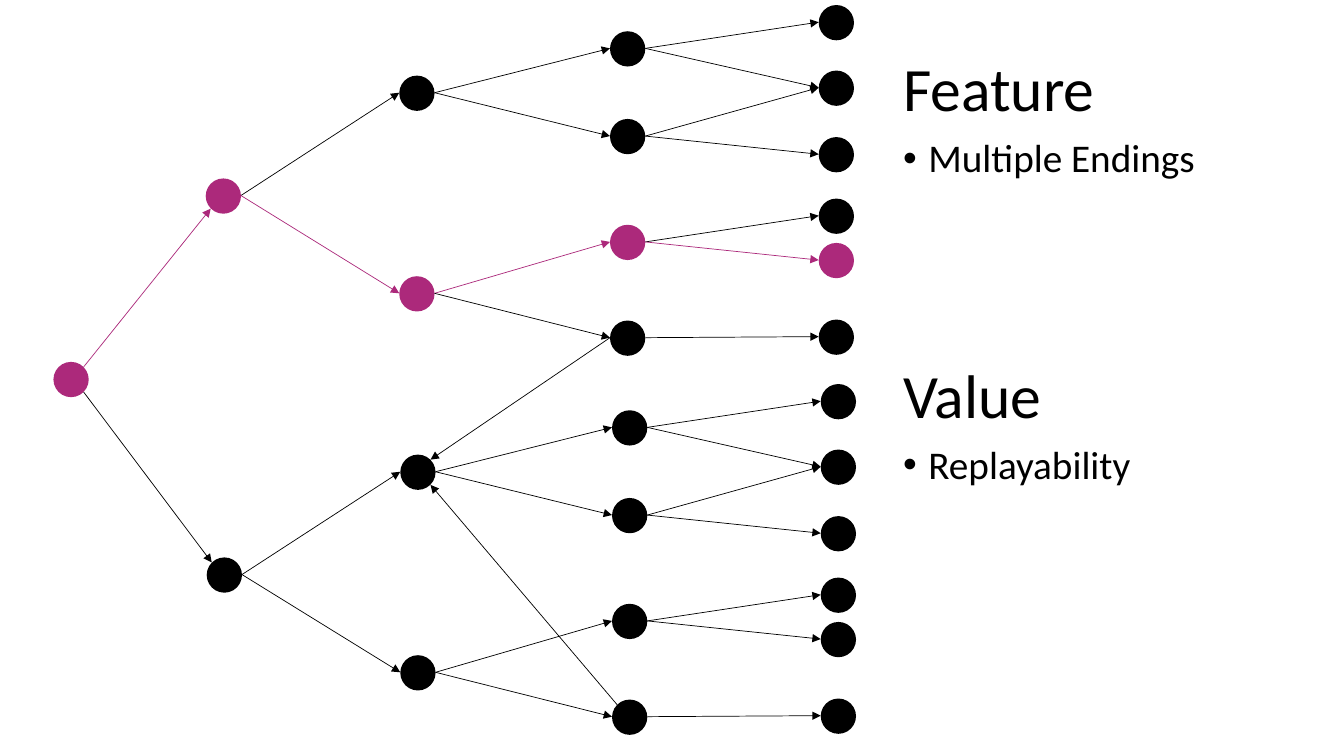
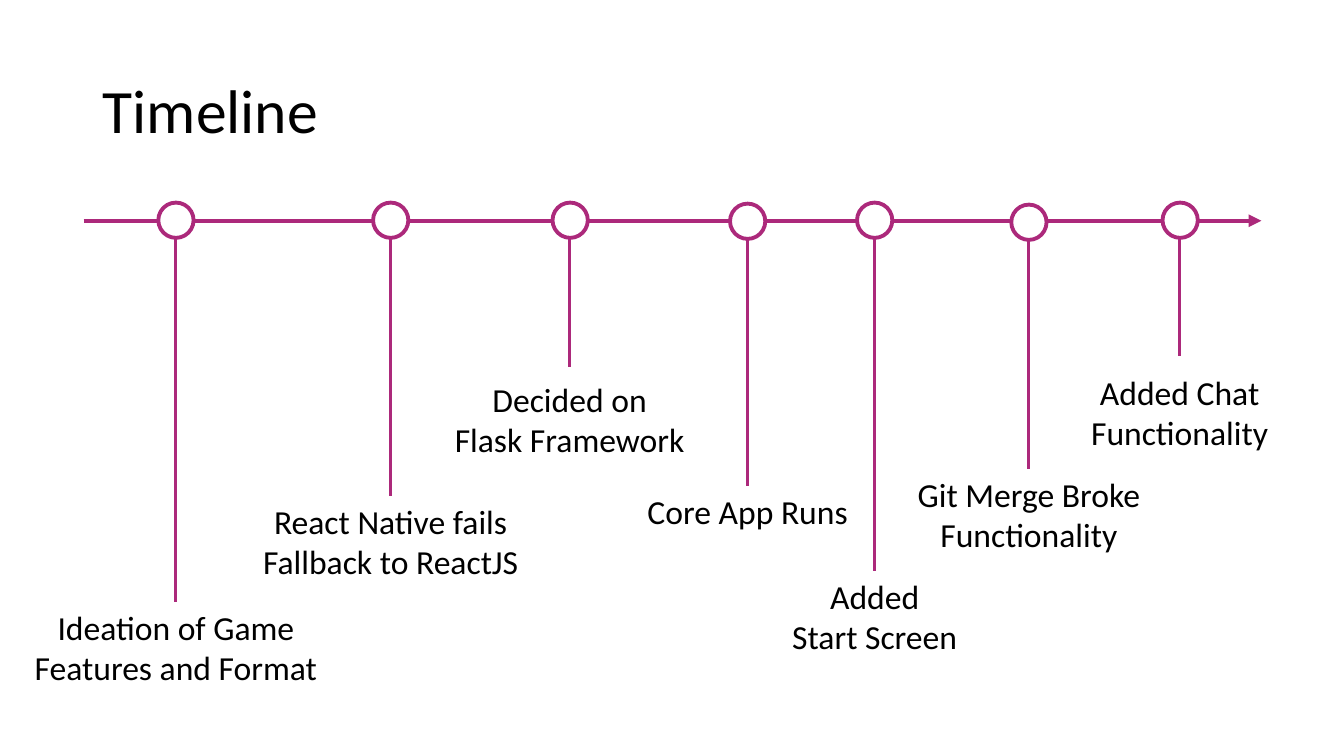
from dataclasses import dataclass

import pptx
import pptx.dml.color
import pptx.enum.shapes
import pptx.enum.text
import pptx.oxml
import pptx.oxml.ns
import pptx.oxml.xmlchemy
import pptx.util

EMU_PER_PX = 9144  # 100 px to the inch
NODE = 35  # diameter of story nodes and timeline markers


@dataclass(frozen=True)
class Theme:
    ink: str = "000000"
    accent: str = "AC297B"
    paper: str = "FFFFFF"
    font: str = "Calibri"
    heading: int = 44
    bullet: int = 28
    label: int = 24
    thin: float = 0.5
    stem: float = 2
    ring: float = 2.75
    axis: float = 3


THEME = Theme()


def px(length):
    return pptx.util.Emu(length * EMU_PER_PX)


def rgb(color):
    return pptx.dml.color.RGBColor.from_string(color)


def add_child(parent, tag, **attributes):
    child = pptx.oxml.xmlchemy.OxmlElement(tag)
    for key, value in attributes.items():
        child.set(key, value)
    parent.append(child)


# Kinds of element

def style_text(paragraph, size):
    paragraph.font.name = THEME.font
    paragraph.font.size = pptx.util.Pt(size)
    paragraph.font.color.rgb = rgb(THEME.ink)


def add_node(slide, left, top, fill, outline=None):
    node = slide.shapes.add_shape(
        pptx.enum.shapes.MSO_SHAPE.OVAL, px(left), px(top), px(NODE), px(NODE))
    node.shadow.inherit = False
    node.fill.solid()
    node.fill.fore_color.rgb = rgb(fill)
    if outline:
        node.line.color.rgb = rgb(outline)
        node.line.width = pptx.util.Pt(THEME.ring)
    else:
        node.line.fill.background()


def add_line(slide, start, end, color, width, arrow=False):
    line = slide.shapes.add_connector(
        pptx.enum.shapes.MSO_CONNECTOR.STRAIGHT, *map(px, start + end))
    line.line.color.rgb = rgb(color)
    line.line.width = pptx.util.Pt(width)
    properties = line.element.spPr
    if arrow:
        add_child(properties.find(pptx.oxml.ns.qn("a:ln")), "a:tailEnd", type="triangle")
    add_child(properties, "a:effectLst")


def add_text_frame(slide, left, top, width, height):
    return slide.shapes.add_textbox(px(left), px(top), px(width), px(height)).text_frame


def add_point(slide, top, heading, bullet):
    """A heading with one bulleted line below it."""
    frame = add_text_frame(slide, 886, top, 389, 130)
    frame.word_wrap = True
    title, detail = frame.paragraphs[0], frame.add_paragraph()
    title.text, detail.text = heading, bullet
    title.line_spacing = detail.line_spacing = 0.9
    detail.space_before = pptx.util.Pt(10)
    indent = px(25)
    properties = detail._p.get_or_add_pPr()
    properties.set("marL", str(indent))
    properties.set("indent", str(-indent))
    add_child(properties, "a:buFont", typeface="Arial")
    add_child(properties, "a:buChar", char="•")
    style_text(title, THEME.heading)
    style_text(detail, THEME.bullet)


def add_label(slide, center, top, width, lines):
    frame = add_text_frame(slide, center - width // 2, top, width, 9 + 41 * len(lines))
    frame.word_wrap = False
    frame.auto_size = pptx.enum.text.MSO_AUTO_SIZE.SHAPE_TO_FIT_TEXT
    for number, text in enumerate(lines):
        paragraph = frame.add_paragraph() if number else frame.paragraphs[0]
        paragraph.text = text
        paragraph.alignment = pptx.enum.text.PP_ALIGN.CENTER
        style_text(paragraph, THEME.label)


def set_title(slide, text):
    title = slide.shapes.title
    title.left, title.top, title.width, title.height = map(px, (92, 40, 1150, 145))
    frame = title.text_frame
    frame.text = text
    frame.auto_size = pptx.enum.text.MSO_AUTO_SIZE.NONE
    frame.vertical_anchor = pptx.enum.text.MSO_ANCHOR.MIDDLE
    paragraph = frame.paragraphs[0]
    paragraph.alignment = pptx.enum.text.PP_ALIGN.LEFT
    paragraph.line_spacing = 0.9
    style_text(paragraph, THEME.heading)


# Story tree: both halves share these levels; a node is (half, level, index)

ROOT = ("root", 0, 0)
LEVEL_TOPS = [
    [177],
    [75, 274],
    [31, 118, 223, 318],
    [5, 70, 136, 197, 241, 317],
]
HALVES = {
    "upper": ([204, 396, 605, 812], 0),
    "lower": ([205, 397, 607, 814], 376),
}
BRANCHES = [
    [[0, 1]],
    [[0, 1], [2, 3]],
    [[0, 1], [1, 2], [3, 4], [5]],
]
CHOSEN_PATH = {ROOT, ("upper", 0, 0), ("upper", 1, 1), ("upper", 2, 2), ("upper", 3, 4)}
PORTS = {
    "left": (0, 17), "right": (35, 17),
    "top left": (5, 5), "top right": (30, 5),
    "bottom left": (5, 30), "bottom right": (30, 30),
}


def story_nodes():
    nodes = {ROOT: (53, 359)}
    for half, (columns, shift) in HALVES.items():
        for level, tops in enumerate(LEVEL_TOPS):
            for index, top in enumerate(tops):
                nodes[half, level, index] = (columns[level], top + shift)
    return nodes


def story_edges():
    edges = [
        (ROOT, "top right", ("upper", 0, 0), "bottom left"),
        (ROOT, "bottom right", ("lower", 0, 0), "top left"),
        (("upper", 2, 3), "left", ("lower", 1, 0), "top right"),
        (("lower", 2, 3), "top left", ("lower", 1, 0), "bottom right"),
    ]
    for half in HALVES:
        for level, branches in enumerate(BRANCHES):
            for index, targets in enumerate(branches):
                edges += [((half, level, index), "right", (half, level + 1, target), "left")
                          for target in targets]
    return edges


def build_story_tree(slide):
    nodes = story_nodes()

    def color(*members):
        return THEME.accent if CHOSEN_PATH.issuperset(members) else THEME.ink

    def port(node, side):
        return tuple(a + b for a, b in zip(nodes[node], PORTS[side]))

    for node, position in nodes.items():
        add_node(slide, *position, color(node))
    for source, exit_side, target, entry_side in story_edges():
        add_line(slide, port(source, exit_side), port(target, entry_side),
                 color(source, target), THEME.thin, arrow=True)

    add_point(slide, 53, "Feature", "Multiple Endings")
    add_point(slide, 357, "Value", "Replayability")


# Timeline: marker centre, marker top, stem end, label top, label width, label

MILESTONES = [
    (174, 201, 597, 597, 303, ["Ideation of Game", "Features and Format"]),
    (387, 201, 492, 492, 275, ["React Native fails", "Fallback to ReactJS"]),
    (565, 201, 364, 371, 250, ["Decided on", "Flask Framework"]),
    (741, 202, 482, 482, 221, ["Core App Runs"]),
    (867, 201, 566, 566, 185, ["Added", "Start Screen"]),
    (1020, 203, 465, 465, 243, ["Git Merge Broke", "Functionality"]),
    (1170, 201, 353, 364, 198, ["Added Chat", "Functionality"]),
]


def build_timeline(slide):
    set_title(slide, "Timeline")
    add_line(slide, (83, 219), (1251, 219), THEME.accent, THEME.axis, arrow=True)
    for center, top, stem_end, label_top, width, lines in MILESTONES:
        add_line(slide, (center, top + NODE), (center, stem_end), THEME.accent, THEME.stem)
        add_node(slide, center - NODE // 2, top, THEME.paper, THEME.accent)
        add_label(slide, center, label_top, width, lines)


def main():
    deck = pptx.Presentation()
    deck.slide_width, deck.slide_height = px(1333), px(750)
    title_only, blank = deck.slide_layouts[5], deck.slide_layouts[6]
    build_story_tree(deck.slides.add_slide(blank))
    build_timeline(deck.slides.add_slide(title_only))
    deck.save("out.pptx")


if __name__ == "__main__":
    main()
